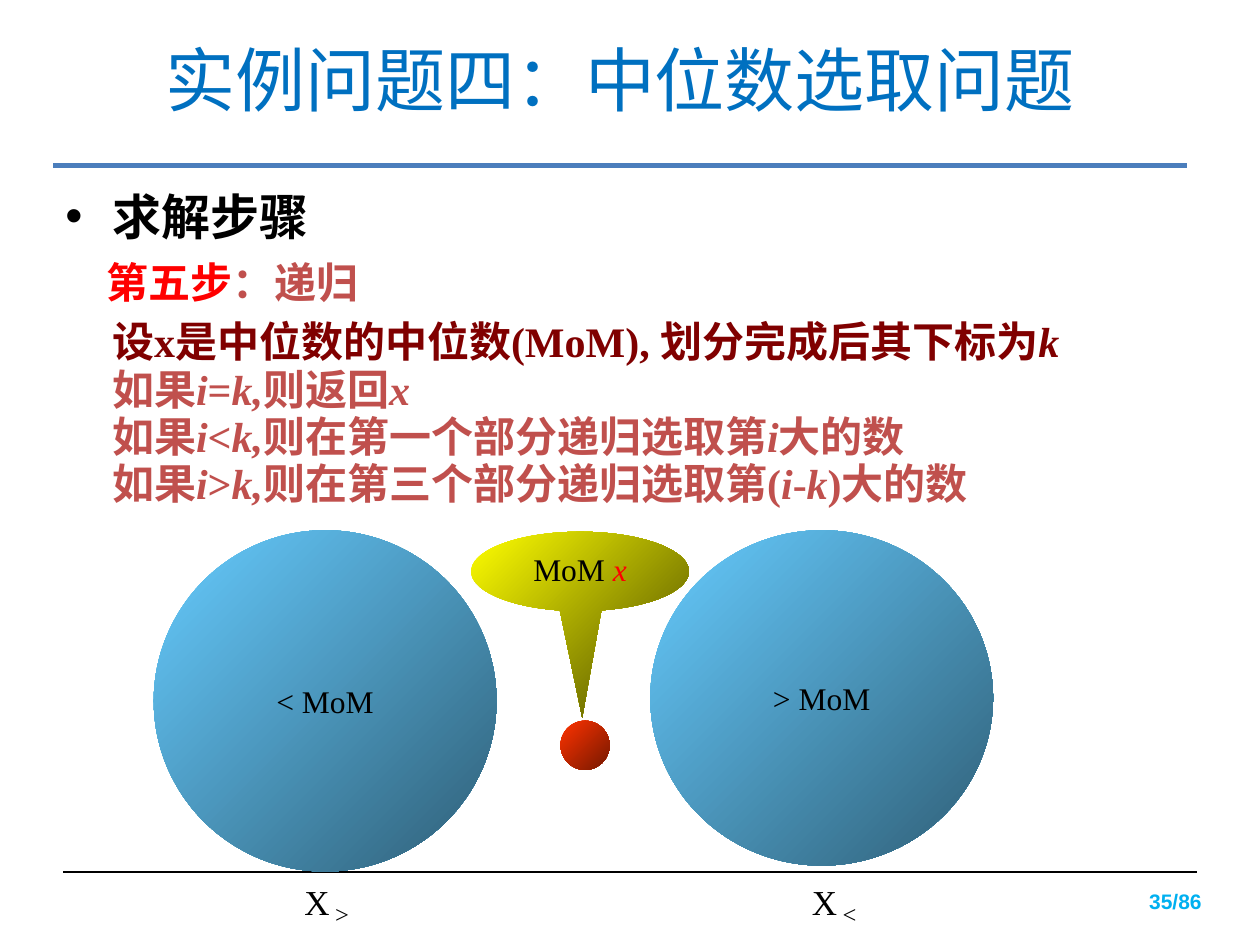
from dataclasses import dataclass

import lxml.etree
import pptx
import pptx.dml.color
import pptx.enum.shapes
import pptx.enum.text
import pptx.oxml.ns
import pptx.util
from pptx.util import Cm

ALIGN = pptx.enum.text.PP_ALIGN
ANCHOR = pptx.enum.text.MSO_ANCHOR
SHAPE = pptx.enum.shapes.MSO_SHAPE
CJK_FONT = "Noto Sans CJK SC"
SERIF = "Times New Roman"
BLACK, RED, BRICK, MAROON = "000000", "FF0000", "C0504D", "800000"


@dataclass
class Run:
    text: str
    color: str = BLACK
    italic: bool = False


@dataclass
class Ball:
    left: float
    top: float
    width: float
    height: float
    light: str
    dark: str
    label: str = ""


@dataclass
class SetName:
    left: float
    relation: str


BALLS = [
    Ball(11.3, 14.53, 0.99, 0.99, "FF3300", "761800"),
    Ball(3.1, 10.69, 6.91, 6.88, "66CCFF", "2F5E76", "< MoM"),
    Ball(13.11, 10.69, 6.91, 6.76, "66CCFF", "2F5E76", "> MoM"),
]
SET_NAMES = [SetName(6.1, ">"), SetName(16.33, "<")]
RULES = [
    ("设x是中位数的中位数(MoM), 划分完成后其下标为*k", MAROON),
    ("如果*i*=*k,*则返回*x", BRICK),
    ("如果*i*<*k,*则在第一个部分递归选取第*i*大的数", BRICK),
    ("如果*i*>*k,*则在第三个部分递归选取第(*i*-*k*)大的数", BRICK),
]


def rgb(value: str) -> pptx.dml.color.RGBColor:
    return pptx.dml.color.RGBColor.from_string(value)


def starred(text: str, color: str) -> list[Run]:
    """Split text at asterisks; every second piece is italic."""
    return [Run(piece, color, index % 2 == 1)
            for index, piece in enumerate(text.split("*")) if piece]


def add_bullet(paragraph, indent: float) -> None:
    properties = paragraph._p.get_or_add_pPr()
    properties.set("marL", str(Cm(indent)))
    properties.set("indent", str(-Cm(indent)))
    for tag, key, value in (("a:buFont", "typeface", "Arial"), ("a:buChar", "char", "•")):
        lxml.etree.SubElement(properties, pptx.oxml.ns.qn(tag)).set(key, value)


def write(shape, *paragraphs: list[Run], size: float, font: str = SERIF, bold: bool = False,
          align=ALIGN.LEFT, anchor=ANCHOR.TOP, wrap: bool = True, bullet_indent: float = 0,
          line_points: float = 0, gap_points: float = 0) -> None:
    frame = shape.text_frame
    frame.word_wrap = wrap
    frame.vertical_anchor = anchor
    for index, runs in enumerate(paragraphs):
        paragraph = frame.add_paragraph() if index else frame.paragraphs[0]
        paragraph.alignment = align
        if line_points:
            paragraph.line_spacing = pptx.util.Pt(line_points)
        if index:
            paragraph.space_before = pptx.util.Pt(gap_points)
        if bullet_indent:
            add_bullet(paragraph, bullet_indent)
        for part in runs:
            run = paragraph.add_run()
            run.text = part.text
            run.font.size = pptx.util.Pt(size)
            run.font.bold = bold
            run.font.italic = part.italic
            run.font.color.rgb = rgb(part.color)
            run.font.name = font
            east_asian = lxml.etree.SubElement(run.font._element, pptx.oxml.ns.qn("a:ea"))
            east_asian.set("typeface", CJK_FONT)


def add_text_box(slide, left: float, top: float, width: float, height: float):
    return slide.shapes.add_textbox(Cm(left), Cm(top), Cm(width), Cm(height))


def add_rule(slide, left: float, top: float, width: float, color: str, points: float) -> None:
    rule = slide.shapes.add_connector(pptx.enum.shapes.MSO_CONNECTOR.STRAIGHT,
                                      Cm(left), Cm(top), Cm(left + width), Cm(top))
    rule.line.color.rgb = rgb(color)
    rule.line.width = pptx.util.Pt(points)
    lxml.etree.SubElement(rule._element.spPr, pptx.oxml.ns.qn("a:effectLst"))


def add_shaded(slide, kind, left: float, top: float, width: float, height: float,
               light: str, dark: str):
    """Add a borderless shape shaded from its top left to its bottom right."""
    shape = slide.shapes.add_shape(kind, Cm(left), Cm(top), Cm(width), Cm(height))
    shape.shadow.inherit = False
    shape.line.fill.background()
    shape.fill.gradient()
    shape.fill.gradient_angle = 315
    for stop, color, position in zip(shape.fill.gradient_stops, (light, dark), (0, 1)):
        stop.color.rgb = rgb(color)
        stop.position = position
    return shape


def add_ball(slide, ball: Ball) -> None:
    shape = add_shaded(slide, SHAPE.OVAL, ball.left, ball.top, ball.width, ball.height,
                       ball.light, ball.dark)
    if ball.label:
        write(shape, [Run(ball.label)], size=18, align=ALIGN.CENTER,
              anchor=ANCHOR.MIDDLE, wrap=False)


def add_set_name(slide, name: SetName) -> None:
    letter = add_text_box(slide, name.left, 17.78, 0.58, 0.81)
    subscript = add_text_box(slide, name.left + 0.58, 18.14, 0.43, 0.58)
    for box, text, size in ((letter, "X", 20), (subscript, name.relation, 14)):
        frame = box.text_frame
        frame.margin_left = frame.margin_right = frame.margin_top = frame.margin_bottom = 0
        write(box, [Run(text)], size=size, align=ALIGN.CENTER, anchor=ANCHOR.BOTTOM, wrap=False)


def main() -> None:
    deck = pptx.Presentation()
    deck.slide_width, deck.slide_height = Cm(25.4), Cm(19.05)
    slide = deck.slides.add_slide(deck.slide_layouts[6])

    page_number = add_text_box(slide, 22.5, 16.92, 2.39, 2.49)
    write(page_number, [Run("35/86", "00B0F0")], size=12, font="Arial", bold=True,
          align=ALIGN.CENTER, anchor=ANCHOR.MIDDLE)
    add_rule(slide, 1.07, 3.33, 22.86, "4B7EBC", 2.75)
    add_rule(slide, 1.27, 17.58, 22.86, BLACK, 0.75)

    title = add_text_box(slide, 1.07, 0.13, 22.86, 2.9)
    write(title, [Run("实例问题四：中位数选取问题", "0070C0")], size=40, font=CJK_FONT,
          align=ALIGN.CENTER, anchor=ANCHOR.MIDDLE)
    heading = add_text_box(slide, 1.07, 3.63, 22.86, 13.51)
    write(heading, [Run("求解步骤")], size=28, font=CJK_FONT, bold=True, bullet_indent=0.95)
    step = add_text_box(slide, 1.9, 5.03, 21.59, 1.3)
    write(step, [Run("第五步", RED), Run("：递归", BRICK)], size=24, bold=True,
          anchor=ANCHOR.MIDDLE)
    rules = add_text_box(slide, 2.01, 6.73, 20.7, 3.99)
    write(rules, *(starred(text, color) for text, color in RULES), size=24, bold=True,
          line_points=15, gap_points=12)

    for ball in BALLS:
        add_ball(slide, ball)
    callout = add_shaded(slide, SHAPE.OVAL_CALLOUT, 9.5, 10.72, 4.39, 1.6, "FFFF00", "767600")
    callout.adjustments[0], callout.adjustments[1] = 0.01, 1.84
    write(callout, [Run("MoM "), Run("x", RED, italic=True)], size=18, align=ALIGN.CENTER)
    for name in SET_NAMES:
        add_set_name(slide, name)

    deck.save("out.pptx")


if __name__ == "__main__":
    main()
